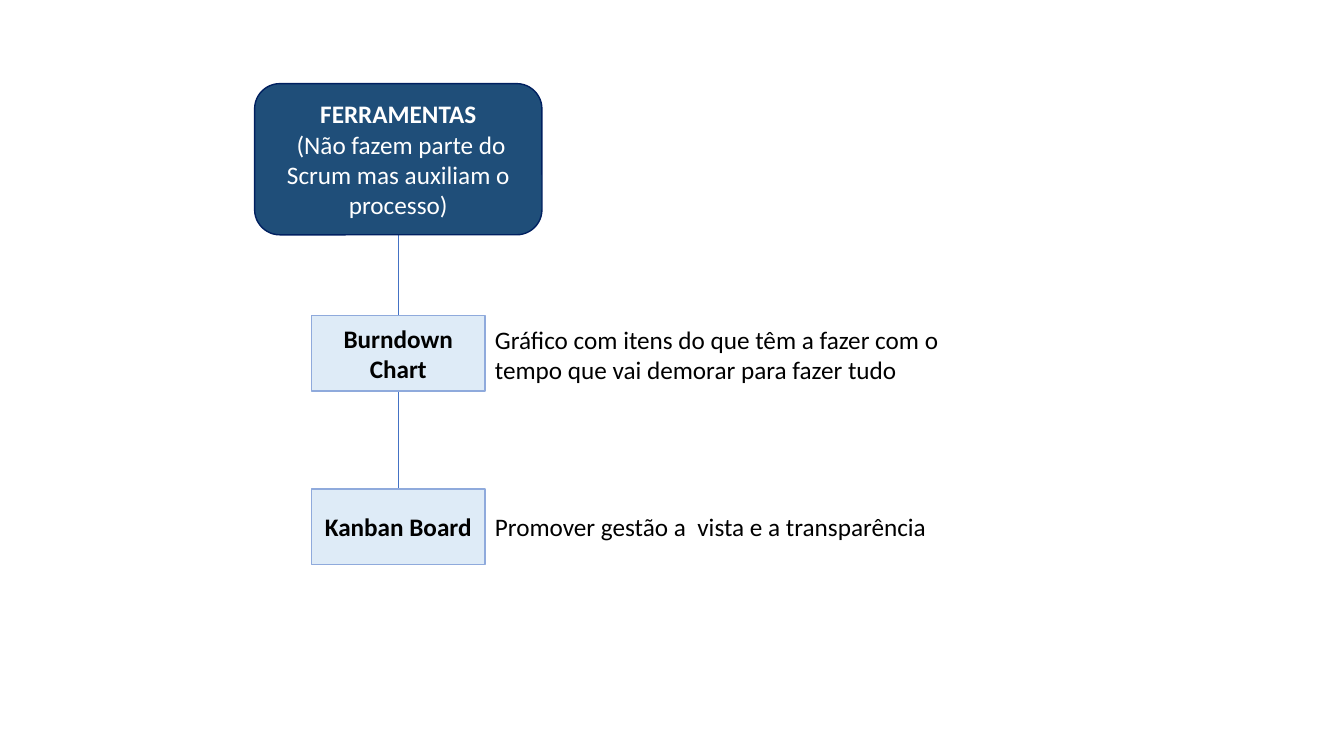
from pptx import Presentation
from pptx.dml.color import RGBColor
from pptx.enum.shapes import MSO_CONNECTOR, MSO_SHAPE
from pptx.enum.text import MSO_ANCHOR, MSO_AUTO_SIZE, PP_ALIGN
from pptx.oxml.ns import qn
from pptx.util import Inches, Pt
from lxml.etree import SubElement

HEADING = [("FERRAMENTAS", True),
           (" (Não fazem parte do Scrum mas auxiliam o processo)", False)]
TOOLS = [
    ("Burndown Chart", 3.13, 3.17, 0.71,
     "Gráfico com itens do que têm a fazer com o tempo que vai demorar para fazer tudo"),
    ("Kanban Board", 4.85, 5.02, 0.4,
     "Promover gestão a  vista e a transparência"),
]
CENTER = 3.95
HEADING_TOP, HEADING_WIDTH, HEADING_HEIGHT = 0.83, 2.85, 1.5
TOOL_WIDTH, TOOL_HEIGHT = 1.72, 0.75
NOTE_WIDTH = 5.08
HEADING_COLORS = ("1F4E79", "002060", "FFFFFF")
TOOL_COLORS = ("DEEBF7", "8FAADC", "000000")


def paint(target, color):
    target.rgb = RGBColor.from_string(color)


def write(box, lines, color, align):
    frame = box.text_frame
    frame.word_wrap = True
    for index, (text, bold) in enumerate(lines):
        para = frame.paragraphs[0] if index == 0 else frame.add_paragraph()
        para.alignment = align
        span = para.add_run()
        span.text = text
        for name, value in {"name": "Calibri", "size": Pt(18), "bold": bold}.items():
            setattr(span.font, name, value)
        paint(span.font.color, color)


def add_box(page, kind, top, width, height, lines, colors):
    fill, line, ink = colors
    box = page.shapes.add_shape(kind, Inches(CENTER - width / 2), Inches(top),
                                Inches(width), Inches(height))
    box.shadow.inherit = False
    box.fill.solid()
    paint(box.fill.fore_color, fill)
    paint(box.line.color, line)
    box.line.width = Pt(1)
    box.text_frame.vertical_anchor = MSO_ANCHOR.MIDDLE
    write(box, lines, ink, PP_ALIGN.CENTER)
    return box


def add_note(page, top, height, text):
    box = page.shapes.add_textbox(Inches(CENTER + TOOL_WIDTH / 2), Inches(top),
                                  Inches(NOTE_WIDTH), Inches(height))
    write(box, [(text, False)], "000000", PP_ALIGN.LEFT)
    box.text_frame.auto_size = MSO_AUTO_SIZE.SHAPE_TO_FIT_TEXT


def main():
    deck = Presentation()
    deck.slide_width, deck.slide_height = Inches(13.33), Inches(7.5)
    page = deck.slides.add_slide(deck.slide_layouts[6])

    stem = page.shapes.add_connector(
        MSO_CONNECTOR.STRAIGHT, Inches(CENTER), Inches(HEADING_TOP + HEADING_HEIGHT),
        Inches(CENTER), Inches(TOOLS[-1][1]))
    paint(stem.line.color, "4472C4")
    stem.line.width = Pt(0.5)
    SubElement(stem._element.spPr, qn("a:effectLst"))

    heading = add_box(page, MSO_SHAPE.ROUNDED_RECTANGLE, HEADING_TOP, HEADING_WIDTH,
                      HEADING_HEIGHT, HEADING, HEADING_COLORS)
    tools = [add_box(page, MSO_SHAPE.RECTANGLE, top, TOOL_WIDTH, TOOL_HEIGHT,
                     [(name, True)], TOOL_COLORS) for name, top, *_ in TOOLS]
    for _, _, top, height, text in TOOLS:
        add_note(page, top, height, text)

    stem.begin_connect(heading, 2)
    stem.end_connect(tools[-1], 0)
    deck.save("out.pptx")


if __name__ == "__main__":
    main()
